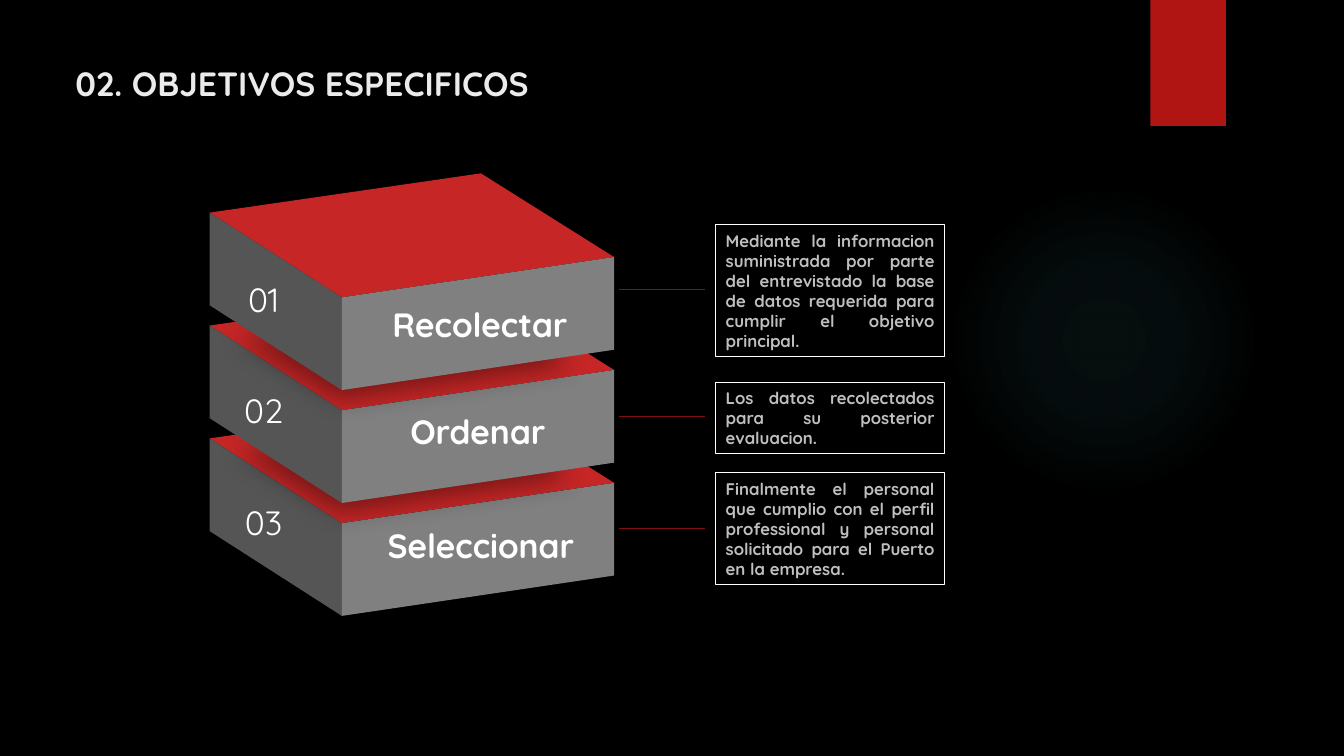
from pptx import Presentation, util as u
from pptx.dml.color import RGBColor
from pptx.enum import shapes, text
from pptx.oxml import ns, parse_xml


def rgb(code):
    return RGBColor.from_string(code)


class Deck:
    """Holds the style and the current slide, and draws each kind of element."""

    FONT = "Quicksand"
    RED = "B01513"
    WHITE = "FFFFFF"

    def __init__(self):
        self.prs = Presentation()
        self.prs.slide_width = u.Inches(13.33)
        self.prs.slide_height = u.Inches(7.5)
        self.slide = self.prs.slides.add_slide(self.prs.slide_layouts[6])
        self.slide.background.fill.solid()
        self.slide.background.fill.fore_color.rgb = rgb("000000")

    def paint(self, shape, fill=None, line=None):
        shape.shadow.inherit = False
        if fill:
            shape.fill.solid()
            shape.fill.fore_color.rgb = rgb(fill)
        else:
            shape.fill.background()
        if line:
            shape.line.color.rgb = rgb(line)
            shape.line.width = u.Pt(0.75)
        else:
            shape.line.fill.background()
        return shape

    def preset(self, kind, at, fill=None, line=None):
        shape = self.slide.shapes.add_shape(kind, *map(u.Inches, at))
        return self.paint(shape, fill, line)

    def polygon(self, points, fill):
        corners = [(u.Inches(x), u.Inches(y)) for x, y in points]
        builder = self.slide.shapes.build_freeform(*corners[0], scale=1.0)
        builder.add_line_segments(corners[1:], close=True)
        return self.paint(builder.convert_to_shape(), fill)

    def glow(self, at, color, stops):
        halo = self.preset(shapes.MSO_SHAPE.OVAL, at)
        props = halo._element.spPr
        props.remove(props.find(ns.qn("a:noFill")))
        marks = "".join(
            f'<a:gs pos="{pos * 1000}"><a:srgbClr val="{color}">'
            f'<a:alpha val="{alpha * 1000}"/></a:srgbClr></a:gs>'
            for pos, alpha in stops)
        props.insert(2, parse_xml(
            f'<a:gradFill {ns.nsdecls("a")}><a:gsLst>{marks}</a:gsLst>'
            '<a:path path="circle"><a:fillToRect l="50000" t="50000" '
            'r="50000" b="50000"/></a:path></a:gradFill>'))

    def cast_shadow(self, shape, alpha, blur, distance):
        effects = shape._element.spPr.find(ns.qn("a:effectLst"))
        effects.append(parse_xml(
            f'<a:outerShdw {ns.nsdecls("a")} blurRad="{u.Pt(blur)}" '
            f'dist="{u.Pt(distance)}" dir="5400000" algn="t" rotWithShape="0">'
            f'<a:srgbClr val="000000"><a:alpha val="{alpha * 1000}"/></a:srgbClr>'
            '</a:outerShdw>'))

    def set_text(self, shape, words, size, color, bold=True,
                 align=text.PP_ALIGN.CENTER, **frame_format):
        frame = shape.text_frame
        frame_format = {"word_wrap": True,
                        "vertical_anchor": text.MSO_ANCHOR.MIDDLE, **frame_format}
        for name, value in frame_format.items():
            setattr(frame, name, value)
        paragraph = frame.paragraphs[0]
        paragraph.text = words
        paragraph.alignment = align
        font = paragraph.runs[0].font
        font_format = {"name": self.FONT, "size": u.Pt(size), "bold": bold}
        for name, value in font_format.items():
            setattr(font, name, value)
        font.color.rgb = rgb(color)

    def label(self, at, words, size=24, color=WHITE, **options):
        box = self.slide.shapes.add_textbox(*map(u.Inches, at))
        self.set_text(box, words, size, color, **options)

    def rule(self, left, right, y, color):
        line = self.slide.shapes.add_connector(
            shapes.MSO_CONNECTOR.STRAIGHT,
            u.Inches(left), u.Inches(y), u.Inches(right), u.Inches(y))
        line.line.color.rgb = rgb(color)
        line.line.width = u.Pt(0.75)
        line._element.spPr.append(parse_xml(f'<a:effectLst {ns.nsdecls("a")}/>'))

    def block(self, drop):
        height = 0.92
        west, north, east, south = [
            (x, y + drop) for x, y in
            ((2.08, 2.11), (4.77, 1.72), (6.09, 2.55), (3.39, 2.95))]
        low_west, low_east, low_south = [
            (x, y + height) for x, y in (west, east, south)]
        base = self.polygon(
            [(x, y + drop) for x, y in
             ((2.4, 3.16), (5.34, 3.16), (5.63, 3.45), (3.36, 3.79), (2.4, 3.2))],
            "6AAC90")
        self.cast_shadow(base, alpha=40, blur=19, distance=12)
        self.polygon([west, north, east, south], "C62626")
        self.polygon([west, south, low_south, low_west], "555555")
        self.polygon([south, east, low_east, low_south], "808080")


def main():
    deck = Deck()
    deck.glow((9.41, 1.83, 3.08, 3.08), "50B9C1", [(0, 7), (36, 6), (69, 0), (100, 0)])
    deck.preset(shapes.MSO_SHAPE.RECTANGLE, (11.41, 0, 0.75, 1.25), deck.RED)
    deck.label((0.65, 0.38, 5.08, 1.07), "02. OBJETIVOS ESPECIFICOS", color="EBEBEB",
               align=text.PP_ALIGN.LEFT, vertical_anchor=text.MSO_ANCHOR.BOTTOM,
               margin_bottom=u.Inches(0.43))

    step = 1.12
    objectives = [
        ("Recolectar", 3.37, 2.97, 2.73, 2.23, 1.31, 2.87,
         "Mediante la informacion suministrada por parte del entrevistado la base "
         "de datos requerida para cumplir el objetivo principal."),
        ("Ordenar", 3.35, 4.04, 3.83, 3.79, 0.71, 4.13,
         "Los datos recolectados para su posterior evaluacion."),
        ("Seleccionar", 3.38, 5.17, 4.94, 4.69, 1.11, 5.24,
         "Finalmente el personal que cumplio con el perfil professional y personal "
         "solicitado para el Puerto en la empresa."),
    ]
    for index, objective in reversed(list(enumerate(objectives))):
        (name, name_left, name_top, number_top,
         note_top, note_height, rule_y, note) = objective
        deck.block(index * step)
        deck.label((name_left, name_top, 2.78, 0.48), name)
        deck.label((2.23, number_top, 0.77, 0.48), f"{index + 1:02}", bold=False)
        note_box = deck.preset(shapes.MSO_SHAPE.RECTANGLE,
                               (7.1, note_top, 2.27, note_height), line=deck.WHITE)
        deck.set_text(note_box, note, 12, "BFBFBF", align=text.PP_ALIGN.JUSTIFY)
        deck.rule(6.14, 6.99, rule_y, "84100E")

    deck.prs.save("out.pptx")


if __name__ == "__main__":
    main()
